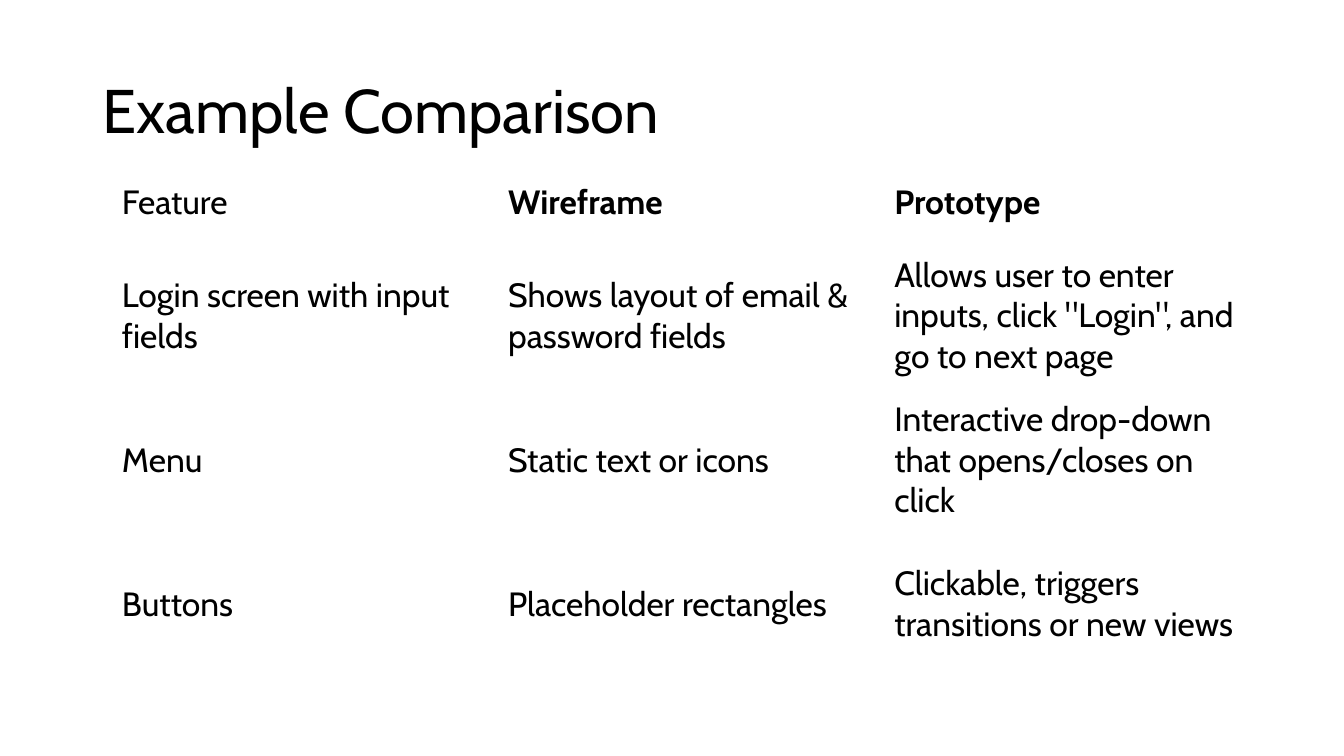
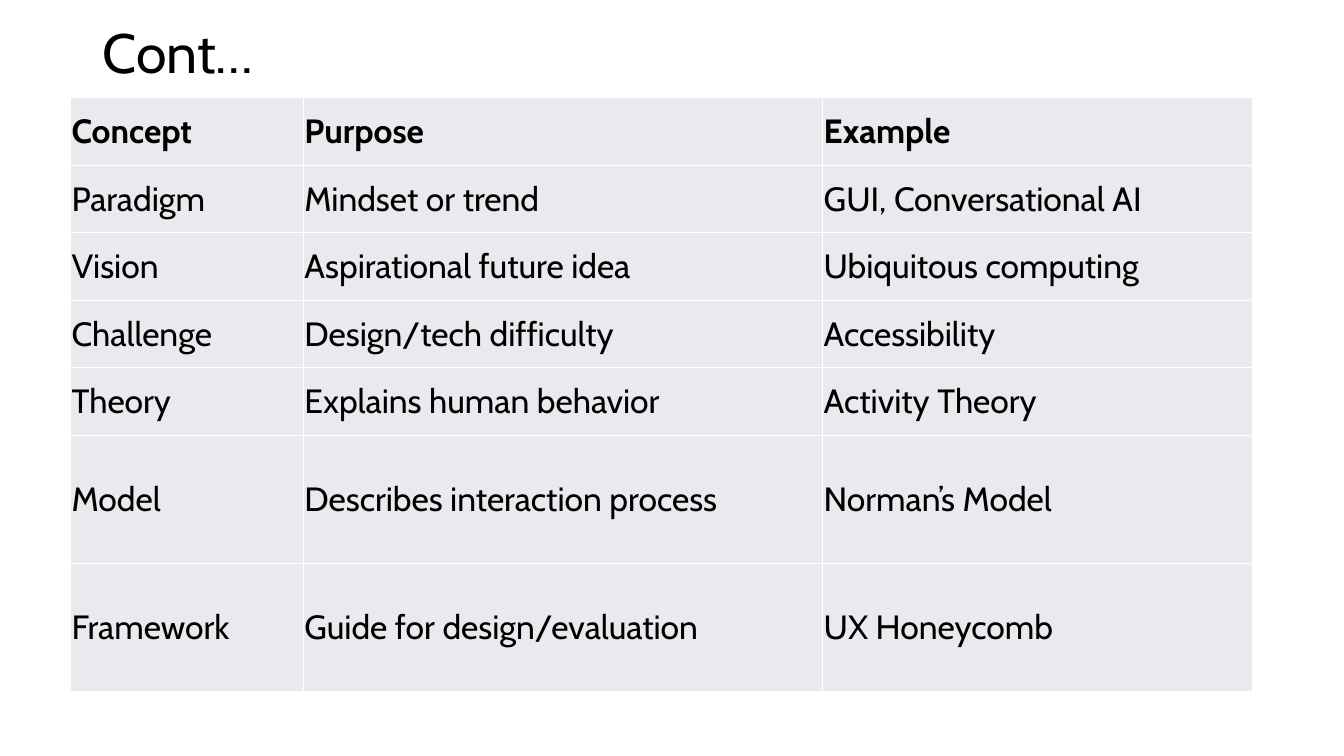
from lxml import etree
from pptx import Presentation
from pptx import util as u
from pptx.dml.color import RGBColor
from pptx.enum import text
from pptx.oxml.ns import qn

COLORS = {"ink": "000000", "cell": "E8EAED", "border": "FFFFFF"}
FONT = "Cabin"
TITLE_LEFT, TITLE_TOP, TITLE_WIDTH = 0.92, 0.4, 11.5
TITLE_FRAME = {
    "word_wrap": True,
    "auto_size": text.MSO_AUTO_SIZE.NONE,
    "vertical_anchor": text.MSO_ANCHOR.MIDDLE,
}
TITLE_PARAGRAPH = {"alignment": text.PP_ALIGN.LEFT, "line_spacing": 0.9}
TABLE_FORMAT = {"first_row": False, "horz_banding": False}
CELL_FORMAT = {"vertical_anchor": text.MSO_ANCHOR.MIDDLE}
MARGINS = ("margin_left", "margin_top", "margin_right", "margin_bottom")
TIGHT_MARGINS = {name: u.Inches(0.01) for name in MARGINS}

COMPARISON = [
    ("Feature", "Wireframe", "Prototype"),
    ("Login screen with input fields", "Shows layout of email & password fields",
     'Allows user to enter inputs, click "Login", and go to next page'),
    ("Menu", "Static text or icons", "Interactive drop-down that opens/closes on click"),
    ("Buttons", "Placeholder rectangles", "Clickable, triggers transitions or new views"),
]
CONCEPTS = [
    ("Concept", "Purpose", "Example"),
    ("Paradigm", "Mindset or trend", "GUI, Conversational AI"),
    ("Vision", "Aspirational future idea", "Ubiquitous computing"),
    ("Challenge", "Design/tech difficulty", "Accessibility"),
    ("Theory", "Explains human behavior", "Activity Theory"),
    ("Model", "Describes interaction process", "Norman’s Model"),
    ("Framework", "Guide for design/evaluation", "UX Honeycomb"),
]


def apply_format(target, values):
    for name, value in values.items():
        setattr(target, name, value)


def format_font(paragraph, size, bold=False):
    apply_format(paragraph.font, {"name": FONT, "size": u.Pt(size), "bold": bold})
    paragraph.font.color.rgb = RGBColor.from_string(COLORS["ink"])


def add_titled_slide(presentation, title, height, size):
    slide = presentation.slides.add_slide(presentation.slide_layouts[5])
    shape = slide.shapes.title
    apply_format(shape, {
        "left": u.Inches(TITLE_LEFT), "top": u.Inches(TITLE_TOP),
        "width": u.Inches(TITLE_WIDTH), "height": u.Inches(height),
    })
    apply_format(shape.text_frame, TITLE_FRAME)
    shape.text_frame.text = title
    paragraph = shape.text_frame.paragraphs[0]
    apply_format(paragraph, TITLE_PARAGRAPH)
    format_font(paragraph, size)
    return slide


def add_borders(cell):
    properties = cell._tc.get_or_add_tcPr()
    for position, side in enumerate(("lnL", "lnR", "lnT", "lnB")):
        line = etree.Element(qn(f"a:{side}"), w=str(u.Pt(1)))
        fill = etree.SubElement(line, qn("a:solidFill"))
        etree.SubElement(fill, qn("a:srgbClr"), val=COLORS["border"])
        properties.insert(position, line)


def format_cell(cell, content, bold, shaded):
    apply_format(cell, CELL_FORMAT)
    cell.text = content
    format_font(cell.text_frame.paragraphs[0], 24, bold)
    if shaded:
        apply_format(cell, TIGHT_MARGINS)
        cell.fill.solid()
        cell.fill.fore_color.rgb = RGBColor.from_string(COLORS[shaded])
        add_borders(cell)
    else:
        cell.fill.background()


def add_text_table(slide, rows, left, top, widths, heights, bold_headers, shaded=None):
    frame = slide.shapes.add_table(
        len(rows), len(widths), u.Inches(left), u.Inches(top),
        u.Inches(sum(widths)), u.Inches(sum(heights)))
    table = frame.table
    apply_format(table, TABLE_FORMAT)
    for column, width in zip(table.columns, widths):
        column.width = u.Inches(width)
    for row, height in zip(table.rows, heights):
        row.height = u.Inches(height)
    for row_index, row in enumerate(rows):
        for column_index, content in enumerate(row):
            bold = row_index == 0 and content in bold_headers
            format_cell(table.cell(row_index, column_index), content, bold, shaded)


def main():
    presentation = Presentation()
    presentation.slide_width = u.Inches(13.33)
    presentation.slide_height = u.Inches(7.5)

    comparison = add_titled_slide(presentation, "Example Comparison", 1.45, 44)
    add_text_table(comparison, COMPARISON, 1.11, 1.6, [3.83] * 3,
                   [0.82] + [1.43] * 3, COMPARISON[0][1:])

    concepts = add_titled_slide(presentation, "Cont…", 0.3, 39.6)
    add_text_table(concepts, CONCEPTS, 0.7, 0.97, [2.31, 5.15, 4.26],
                   [0.67] * 5 + [1.27] * 2, CONCEPTS[0], "cell")

    presentation.save("out.pptx")


if __name__ == "__main__":
    main()
